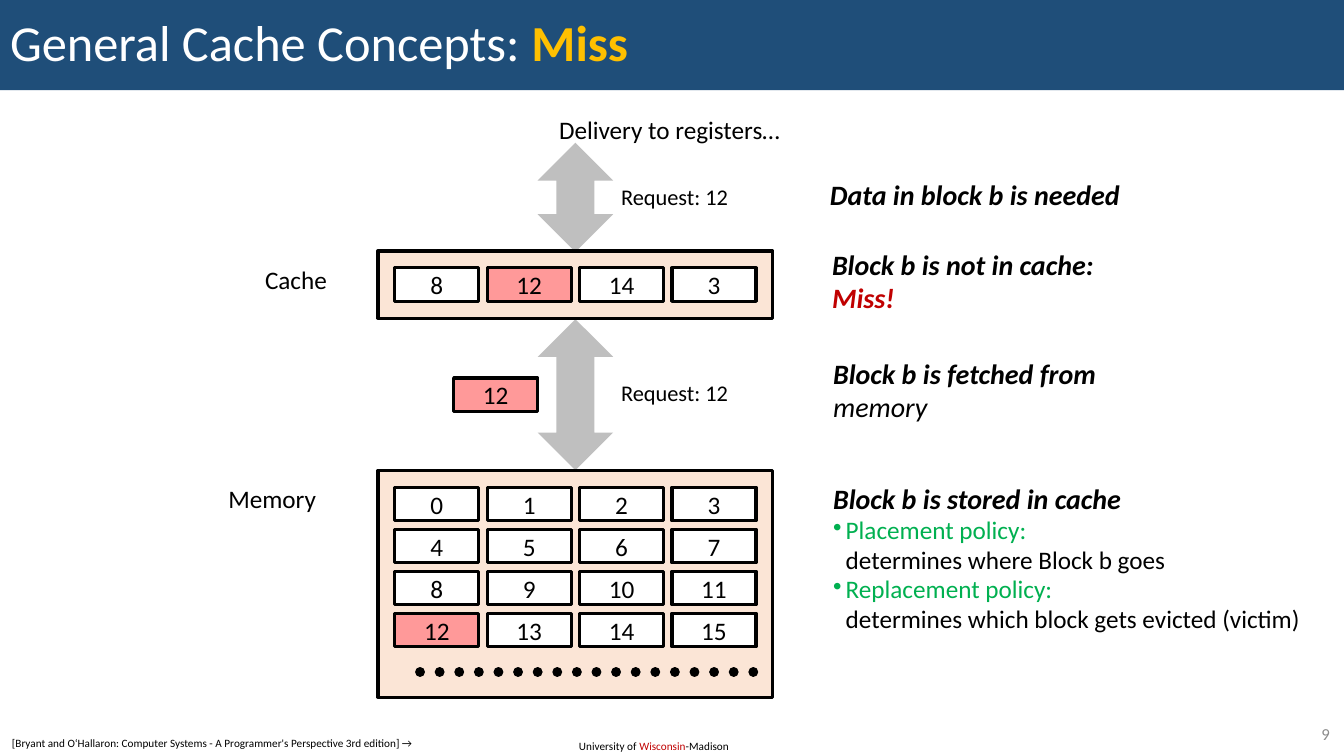
"""Builds the slide that explains a cache miss."""
import dataclasses

import lxml.etree
import pptx
import pptx.dml.color
import pptx.enum.dml
import pptx.enum.shapes
import pptx.enum.text
import pptx.oxml.ns
import pptx.util

ALIGN = pptx.enum.text.PP_ALIGN
ANCHOR = pptx.enum.text.MSO_ANCHOR
SHAPE = pptx.enum.shapes.MSO_SHAPE


@dataclasses.dataclass(frozen=True)
class Theme:
    """Colours and type sizes of the slide."""
    font: str = "Calibri"
    ink: str = "000000"
    paper: str = "FFFFFF"
    banner: str = "1F4E79"
    gold: str = "FFC000"
    store: str = "FBE5D6"
    wanted: str = "FF9999"
    arrow: str = "BFBFBF"
    alarm: str = "C00000"
    policy: str = "00B050"
    muted: str = "8C8C8C"
    title: int = 36
    step: int = 20
    body: int = 18
    request: int = 16
    number: int = 12
    footer: int = 8


THEME = Theme()
CELL_WIDTH, CELL_HEIGHT = 80, 32
COLUMN_PITCH, ROW_PITCH = 88, 40
COLUMNS = 4


def px(length):
    """Turn whole pixels into EMU."""
    return pptx.util.Emu(length * 9525)


def rgb(code):
    """Turn a hex code into a colour."""
    return pptx.dml.color.RGBColor.from_string(code)


def style(font, size, color=THEME.ink, bold=False, italic=False):
    """Set the typeface, size, colour and weight of a font."""
    font.name, font.size = THEME.font, pptx.util.Pt(size)
    font.color.rgb = rgb(color)
    font.bold, font.italic = bold, italic


def add_spans(paragraph, spans):
    """Add plain strings or (text, colour, bold) spans; a newline breaks the line."""
    for span in spans:
        text, color, bold = (span, None, None) if isinstance(span, str) else span
        run = paragraph.add_run()
        run.text = text.rstrip("\n")
        if color:
            run.font.color.rgb = rgb(color)
        if bold is not None:
            run.font.bold = bold
        if text.endswith("\n"):
            paragraph.add_line_break()


def add_label(slide, box, spans, size, color=THEME.ink, align=ALIGN.LEFT,
              anchor=ANCHOR.TOP):
    """Place a one-line label in its box."""
    frame = slide.shapes.add_textbox(*map(px, box)).text_frame
    frame.word_wrap, frame.vertical_anchor = False, anchor
    label = frame.paragraphs[0]
    label.alignment = align
    style(label.font, size, color)
    add_spans(label, spans)


def add_block(slide, kind, box, fill, outlined=True):
    """Draw a filled shape, outlined in ink unless told otherwise."""
    block = slide.shapes.add_shape(kind, *map(px, box))
    block.shadow.inherit = False
    block.fill.solid()
    block.fill.fore_color.rgb = rgb(fill)
    if outlined:
        block.line.color.rgb = rgb(THEME.ink)
        block.line.width = pptx.util.Pt(2.25)
    else:
        block.line.fill.background()
    return block


def add_cell(slide, left, top, value, wanted):
    """Draw one numbered memory block."""
    fill = THEME.wanted if wanted else THEME.paper
    cell = add_block(slide, SHAPE.RECTANGLE, (left, top, CELL_WIDTH, CELL_HEIGHT), fill)
    cell.text_frame.vertical_anchor = ANCHOR.MIDDLE
    number = cell.text_frame.paragraphs[0]
    number.alignment = ALIGN.CENTER
    style(number.font, THEME.body)
    add_spans(number, [str(value)])


def add_store(slide, box, values, wanted):
    """Draw a store and its grid of blocks."""
    left, top = box[:2]
    add_block(slide, SHAPE.RECTANGLE, box, THEME.store)
    for index, value in enumerate(values):
        row, column = divmod(index, COLUMNS)
        add_cell(slide, left + 16 + column * COLUMN_PITCH, top + 16 + row * ROW_PITCH,
                 value, value == wanted)


def add_more_dots(slide, left, right, top):
    """Draw the dotted line that stands for further blocks."""
    dots = slide.shapes.add_connector(pptx.enum.shapes.MSO_CONNECTOR.STRAIGHT,
                                      px(left), px(top), px(right), px(top))
    dots.line.color.rgb = rgb(THEME.ink)
    dots.line.width = pptx.util.Pt(7)
    dots.line.dash_style = pptx.enum.dml.MSO_LINE.ROUND_DOT
    properties = dots._element.spPr
    properties.find(pptx.oxml.ns.qn("a:ln")).set("cap", "rnd")
    lxml.etree.SubElement(properties, pptx.oxml.ns.qn("a:effectLst"))


def add_transfer(slide, box, request_top):
    """Draw a two-way arrow with its request label."""
    left, _, width, _ = box
    add_block(slide, SHAPE.UP_DOWN_ARROW, box, THEME.arrow, outlined=False)
    add_label(slide, (left + width - 4, request_top, 125, 36), ["Request: 12"],
              THEME.request, align=ALIGN.CENTER)


def add_step(slide, box, lines, policies=()):
    """Write a step in bold italics, with bulleted policies below it."""
    frame = slide.shapes.add_textbox(*map(px, box)).text_frame
    frame.word_wrap, frame.vertical_anchor = False, ANCHOR.MIDDLE
    for index, spans in enumerate([*lines, *policies]):
        paragraph = frame.paragraphs[0] if index == 0 else frame.add_paragraph()
        paragraph.line_spacing = 0.98
        if index < len(lines):
            style(paragraph.font, THEME.step, bold=True, italic=True)
        else:
            properties = paragraph._p.get_or_add_pPr()
            properties.set("marL", str(px(12)))
            properties.set("indent", str(px(-12)))
            bullet = lxml.etree.SubElement(properties, pptx.oxml.ns.qn("a:buChar"))
            bullet.set("char", "•")
            style(paragraph.font, THEME.body)
        add_spans(paragraph, spans)


def add_title(slide, box):
    """Fill the title banner."""
    title = slide.shapes.title
    title.left, title.top, title.width, title.height = map(px, box)
    title.fill.solid()
    title.fill.fore_color.rgb = rgb(THEME.banner)
    frame = title.text_frame
    frame.vertical_anchor = ANCHOR.MIDDLE
    frame.auto_size = pptx.enum.text.MSO_AUTO_SIZE.NONE
    heading = frame.paragraphs[0]
    heading.alignment, heading.line_spacing = ALIGN.LEFT, 0.9
    style(heading.font, THEME.title, THEME.paper)
    add_spans(heading, ["General Cache Concepts: ", ("Miss", THEME.gold, True)])


def add_diagram(slide, left, top):
    """Draw the cache, the memory and the transfers between them."""
    add_label(slide, (left + 163, top, 232, 38), ["Delivery to registers…"], THEME.body)
    add_transfer(slide, (left + 152, top + 32, 72, 104), top + 66)
    add_transfer(slide, (left + 152, top + 200, 72, 144), top + 252)
    add_store(slide, (left, top + 135, 376, 64), [8, 12, 14, 3], 12)
    add_store(slide, (left, top + 344, 376, 216), range(16), 12)
    add_cell(slide, left + 72, top + 256, 12, True)
    add_more_dots(slide, left + 40, left + 360, top + 536)
    add_label(slide, (left - 117, top + 143, 79, 38), ["Cache"], THEME.body)
    add_label(slide, (left - 152, top + 352, 104, 38), ["Memory"], THEME.body)


def add_steps(slide, left, top):
    """Write what happens at each stage beside the diagram."""
    add_step(slide, (left, top, 297, 41), [["Data in block b is needed"]])
    add_step(slide, (left + 2, top + 66, 270, 73),
             [["Block b is not in cache:"], [("Miss!", THEME.alarm, None)]])
    add_step(slide, (left + 3, top + 170, 272, 73),
             [["Block b is fetched from"], [("memory", None, False)]])
    add_step(slide, (left + 3, top + 288, 469, 156), [["Block b is stored in cache"]],
             [[("Placement policy:\n", THEME.policy, None),
               "determines where Block b goes"],
              [("Replacement policy:\n", THEME.policy, None),
               "determines which block gets evicted (victim)"]])


def add_footer(slide, left, top):
    """Write the source, the university and the slide number."""
    add_label(slide, (left, top, 414, 23),
              ["[Bryant and O‘Hallaron: Computer Systems - A Programmer's Perspective "
               "3rd edition] →"], THEME.footer)
    add_label(slide, (left + 540, top + 2, 165, 23),
              ["University of ", ("Wisconsin", THEME.alarm, None), "-Madison"],
              THEME.footer)
    add_label(slide, (left + 1201, top - 12, 73, 28), ["9"], THEME.number, THEME.muted,
              ALIGN.RIGHT, ANCHOR.MIDDLE)


def main():
    """Build the slide and save it."""
    deck = pptx.Presentation()
    deck.slide_width, deck.slide_height = px(1280), px(720)
    slide = deck.slides.add_slide(deck.slide_layouts.get_by_name("Title Only"))
    add_title(slide, (0, 0, 1280, 86))
    add_diagram(slide, 360, 104)
    add_steps(slide, 781, 166)
    add_footer(slide, 2, 697)
    deck.save("out.pptx")


if __name__ == "__main__":
    main()
